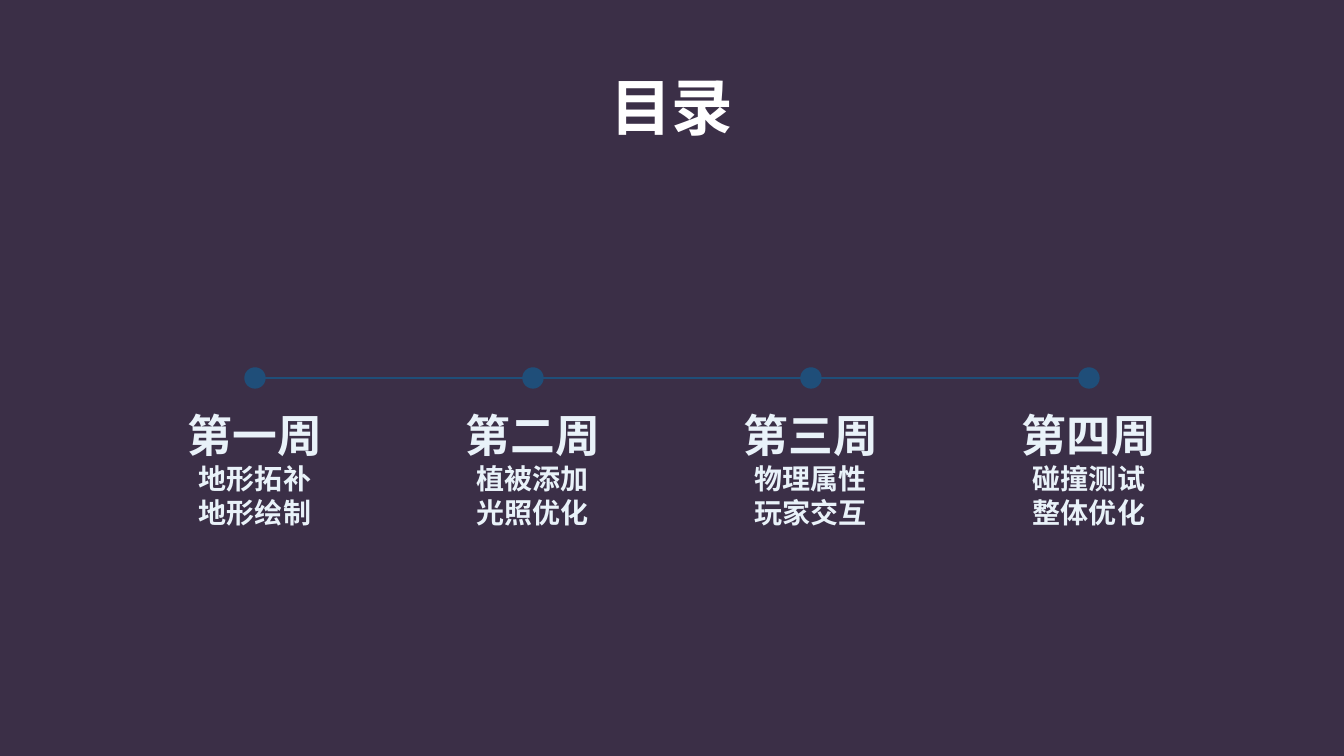
from lxml.etree import SubElement
from pptx import Presentation
from pptx.dml.color import RGBColor
from pptx.enum.shapes import MSO_CONNECTOR as Connector, MSO_SHAPE as Shape
from pptx.enum.text import MSO_ANCHOR as Anchor, MSO_AUTO_SIZE as AutoSize, PP_ALIGN as Align
from pptx.oxml.ns import qn
from pptx.util import Pt

TITLE = "目录"
WEEKS = [
    ("第一周", "地形拓补", "地形绘制"),
    ("第二周", "植被添加", "光照优化"),
    ("第三周", "物理属性", "玩家交互"),
    ("第四周", "碰撞测试", "整体优化"),
]
FONT = "Noto Sans CJK SC"
BACKGROUND, WHITE, PALE, BLUE = "3B2F47", "FFFFFF", "E9F2F9", "1F4E79"
PAGE_WIDTH, PAGE_HEIGHT = 1344, 756
TITLE_BOX = (600, 63, 144, 85)
FIRST_X, STEP, AXIS_Y, RADIUS = 255, 278, 378, 10
LABEL_TOP, LABEL_WIDTH, LABEL_HEIGHT = 401, 206, 132


def px(*lengths):
    return [round(length * 12192000 / PAGE_WIDTH) for length in lengths]


def color(value):
    return RGBColor.from_string(value)


def add_span(para, text, size, fill):
    para.alignment = Align.CENTER
    span = para.add_run()
    span.text = text
    font = span.font
    font.size, font.bold, font.name = Pt(size), True, FONT
    font.color.rgb = color(fill)
    SubElement(font._element, qn("a:ea"), typeface=FONT)


def add_title(page):
    title = page.shapes.title
    title.left, title.top, title.width, title.height = px(*TITLE_BOX)
    frame = title.text_frame
    frame.word_wrap, frame.auto_size = False, AutoSize.NONE
    frame.vertical_anchor = Anchor.MIDDLE
    add_span(frame.paragraphs[0], TITLE, 44, WHITE)


def add_dot(page, x):
    dot = page.shapes.add_shape(
        Shape.OVAL, *px(x - RADIUS, AXIS_Y - RADIUS, 2 * RADIUS, 2 * RADIUS))
    dot.shadow.inherit = False
    dot.fill.solid()
    dot.fill.fore_color.rgb = dot.line.color.rgb = color(BLUE)
    dot.line.width = Pt(1)


def add_link(page, x):
    link = page.shapes.add_connector(
        Connector.STRAIGHT, *px(x + RADIUS, AXIS_Y, x + STEP - RADIUS, AXIS_Y))
    link.line.color.rgb = color(BLUE)
    link.line.width = Pt(0.75)
    SubElement(link._element.spPr, qn("a:effectLst"))


def add_label(page, x, lines):
    box = page.shapes.add_textbox(
        *px(x - LABEL_WIDTH / 2, LABEL_TOP, LABEL_WIDTH, LABEL_HEIGHT))
    frame = box.text_frame
    frame.word_wrap = True
    for index, text in enumerate(lines):
        para = frame.add_paragraph() if index else frame.paragraphs[0]
        para.line_spacing = Pt(24 if index else 40)
        add_span(para, text, 20 if index else 32, PALE)


def main():
    """Build the contents slide with a four-week timeline."""
    deck = Presentation()
    deck.slide_width, deck.slide_height = px(PAGE_WIDTH, PAGE_HEIGHT)
    page = deck.slides.add_slide(deck.slide_layouts[5])
    page.background.fill.solid()
    page.background.fill.fore_color.rgb = color(BACKGROUND)
    add_title(page)
    for index, lines in enumerate(WEEKS):
        x = FIRST_X + index * STEP
        add_dot(page, x)
        if index < len(WEEKS) - 1:
            add_link(page, x)
        add_label(page, x, lines)
    deck.save("out.pptx")


if __name__ == "__main__":
    main()
